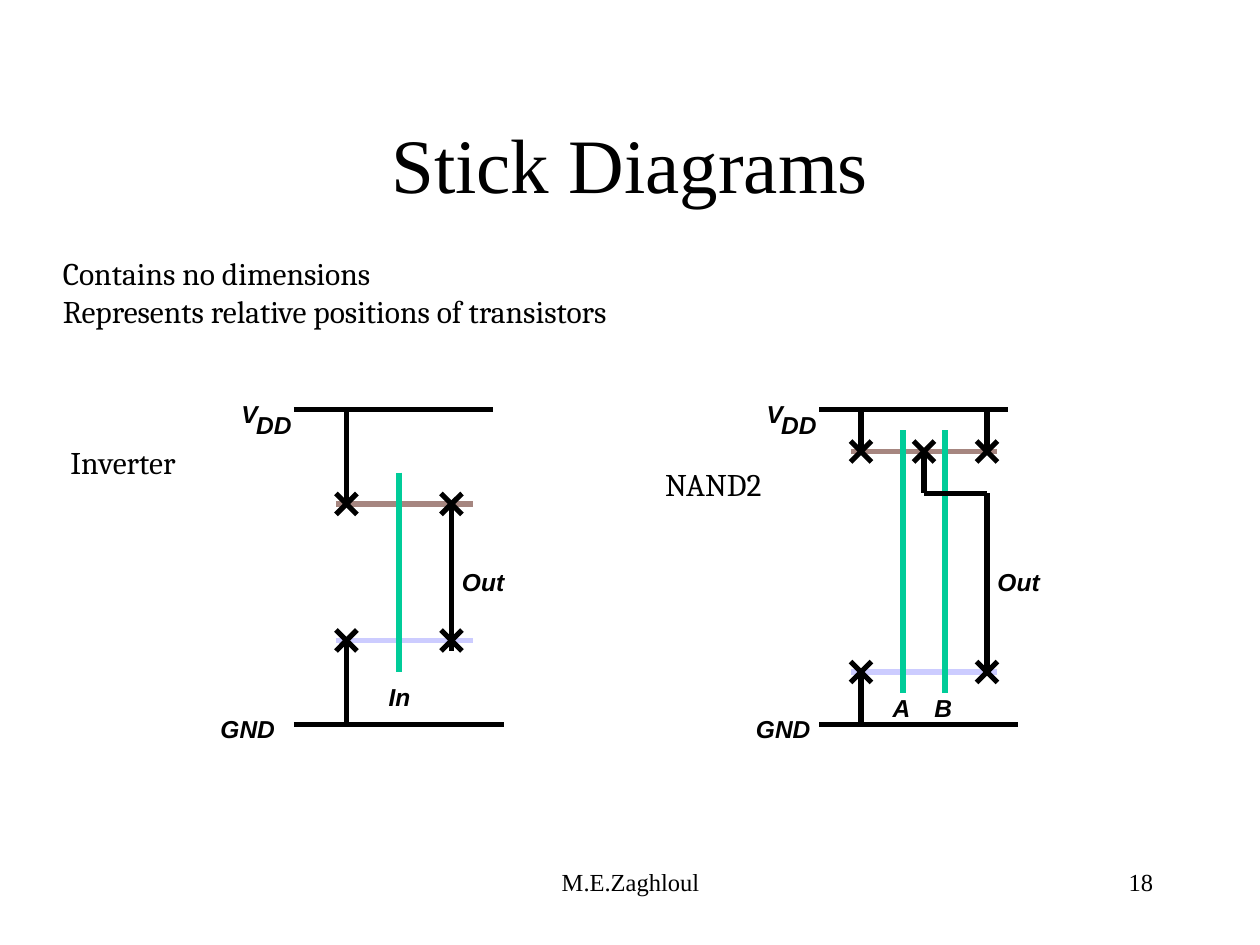
import pptx
import pptx.util
import pptx.dml.color
import pptx.enum.shapes
import pptx.enum.text
import pptx.oxml

Inches, Pt = pptx.util.Inches, pptx.util.Pt
ALIGN = pptx.enum.text.PP_ALIGN
COLORS = {"ink": "000000", "metal": "000000", "poly": "00CC99",
          "pdiff": "A68680", "ndiff": "CCCCFF"}
GRID = 12  # grid steps per inch; the diagrams below are given in steps

TITLE = "Stick Diagrams"
# lines, (left, top, width, height) in inches, font, size, alignment, wrap
TEXTS = [
    (["M.E.Zaghloul"], (3.42, 6.83, 3.17, 0.5), "Times New Roman", 14, ALIGN.CENTER, True),
    (["18"], (7.17, 6.83, 2.08, 0.5), "Times New Roman", 14, ALIGN.RIGHT, True),
    (["Contains no dimensions", "Represents relative positions of transistors"],
     (0.4, 1.97, 5.21, 0.7), "Cambria", 18, ALIGN.LEFT, False),
    (["Inverter"], (0.46, 3.47, 1.14, 0.4), "Cambria", 18, ALIGN.LEFT, False),
    (["NAND2"], (5.18, 3.64, 1.06, 0.4), "Cambria", 18, ALIGN.LEFT, False),
]

INVERTER = {
    "sticks": [  # layer, x1, y1, x2, y2
        ("pdiff", 32, 48, 45, 48), ("ndiff", 32, 61, 45, 61),
        ("poly", 38, 45, 38, 64),
        ("metal", 28, 39, 47, 39), ("metal", 28, 69, 48, 69),
        ("metal", 33, 39, 33, 48), ("metal", 33, 61, 33, 69),
        ("metal", 43, 48, 43, 62),
    ],
    "contacts": [(33, 48), (33, 61), (43, 48), (43, 61)],
    "labels": [("In", 37, 65, 2.3), ("Out", 44, 54, 4.4), ("GND", 21, 68, 5.3)],
    "vdd": (23, 38),
}
NAND2 = {
    "sticks": [
        ("ndiff", 81, 64, 95, 64), ("pdiff", 88, 43, 95, 43), ("pdiff", 81, 43, 88, 43),
        ("poly", 86, 41, 86, 66), ("poly", 90, 41, 90, 66),
        ("metal", 78, 39, 96, 39), ("metal", 78, 69, 97, 69),
        ("metal", 82, 39, 82, 43), ("metal", 82, 64, 82, 69),
        ("metal", 94, 39, 94, 43), ("metal", 88, 43, 88, 47),
        ("metal", 88, 47, 94, 47), ("metal", 94, 47, 94, 64),
    ],
    "contacts": [(82, 43), (88, 43), (94, 43), (82, 64), (94, 64)],
    "labels": [("A", 85, 66, 2), ("B", 89, 66, 2), ("Out", 95, 54, 4.4), ("GND", 72, 68, 5.3)],
    "vdd": (73, 38),
}


def rgb(name):
    return pptx.dml.color.RGBColor.from_string(COLORS[name])


def add_run(p, text, font, size, bold=False, italic=False):
    r = p.add_run()
    r.text = text
    r.font.name, r.font.size = font, Pt(size)
    r.font.bold, r.font.italic = bold, italic
    r.font.color.rgb = rgb("ink")


def add_stick(shapes, layer, *ends):
    line = shapes.add_connector(pptx.enum.shapes.MSO_CONNECTOR.STRAIGHT,
                                *(Inches(v / GRID) for v in ends))
    line.line.color.rgb = rgb(layer)
    line.line.width = Pt(3)
    line._element.spPr.append(pptx.oxml.parse_xml(
        '<a:effectLst xmlns:a="http://schemas.openxmlformats.org/drawingml/2006/main"/>'))


def add_label(shapes, text, x, y, width):
    box = shapes.add_textbox(*(Inches(v / GRID) for v in (x, y, width, 2.8)))
    tf = box.text_frame
    tf.margin_left = tf.margin_top = tf.margin_right = tf.margin_bottom = 0
    tf.word_wrap = False
    tf.auto_size = pptx.enum.text.MSO_AUTO_SIZE.SHAPE_TO_FIT_TEXT
    add_run(tf.paragraphs[0], text, "Arial", 14, bold=True, italic=True)


def add_diagram(shapes, diagram):
    for stick in diagram["sticks"]:
        add_stick(shapes, *stick)
    for x, y in diagram["contacts"]:
        add_stick(shapes, "metal", x - 1, y - 1, x + 1, y + 1)
        add_stick(shapes, "metal", x + 1, y - 1, x - 1, y + 1)
    for label in diagram["labels"]:
        add_label(shapes, *label)
    x, y = diagram["vdd"]
    group = shapes.add_group_shape()
    add_label(group.shapes, "V", x, y, 1.56)
    add_label(group.shapes, "DD", x + 1.4, y + 1.05, 3.4)


def main():
    prs = pptx.Presentation()
    prs.slide_width, prs.slide_height = Inches(10), Inches(7.5)
    s = prs.slides.add_slide(prs.slide_layouts[5])

    title = s.shapes.title
    title.left, title.top, title.width, title.height = map(Inches, (0.75, 0.67, 8.5, 1.25))
    title.text_frame.vertical_anchor = pptx.enum.text.MSO_ANCHOR.MIDDLE
    p = title.text_frame.paragraphs[0]
    p.alignment = ALIGN.CENTER
    add_run(p, TITLE, "Times New Roman", 44)

    for lines, place, font, size, align, wrap in TEXTS:
        tf = s.shapes.add_textbox(*map(Inches, place)).text_frame
        tf.word_wrap = wrap
        for i, line in enumerate(lines):
            p = tf.add_paragraph() if i else tf.paragraphs[0]
            p.alignment = align
            add_run(p, line, font, size)

    for diagram in (INVERTER, NAND2):
        add_diagram(s.shapes, diagram)
    prs.save("out.pptx")


if __name__ == "__main__":
    main()
